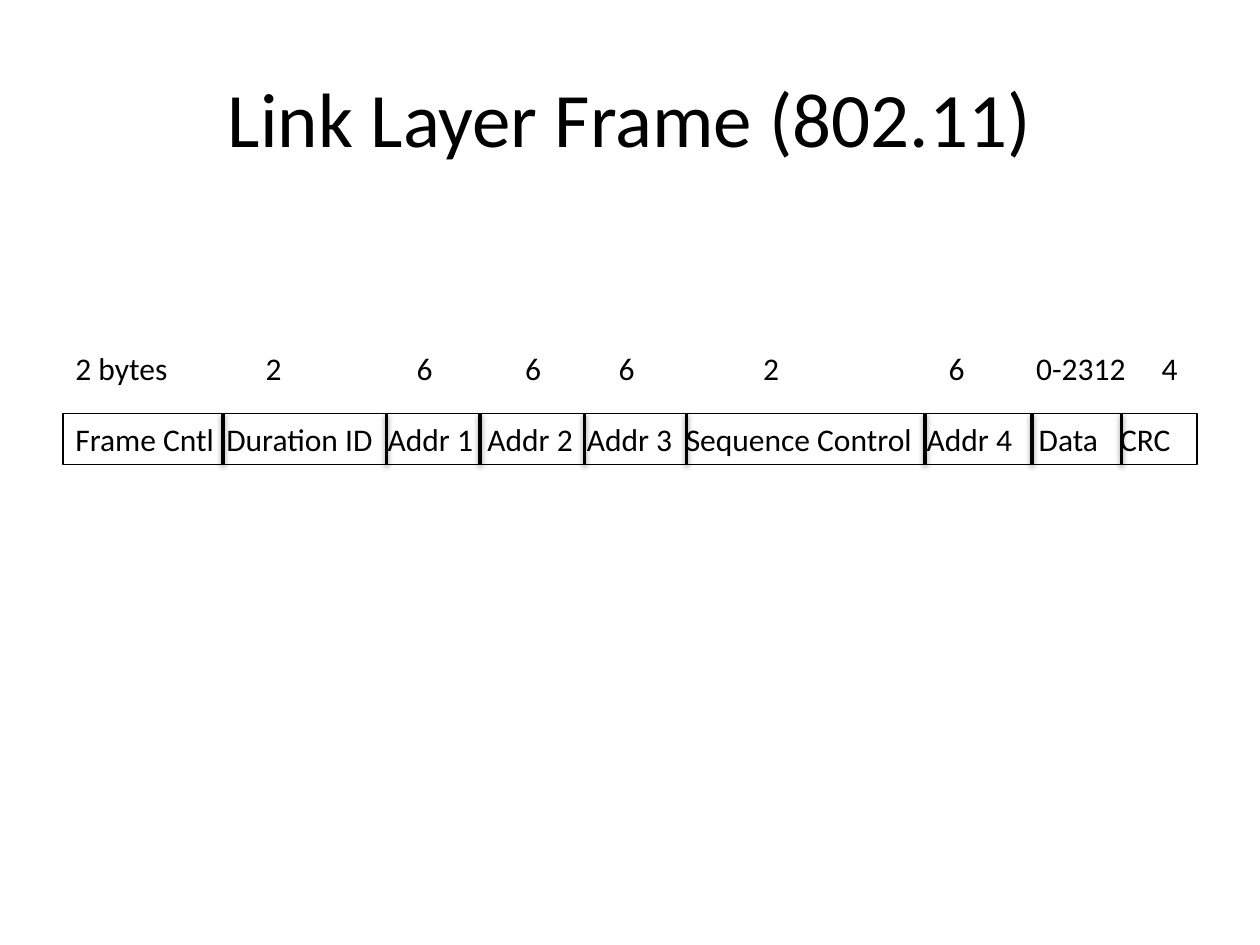
from lxml import etree
from pptx import Presentation
from pptx.dml.color import RGBColor
from pptx.enum import shapes, text
from pptx.oxml import ns
from pptx.util import Pt

BLACK = RGBColor(0, 0, 0)
TITLE = "Link Layer Frame (802.11)"
# name, bytes, left bar, name tab, bytes tab
FIELDS = [
    ("Frame Cntl", "2 bytes", None, 0, 0),
    ("Duration ID", "2", 127.4, 86.3, 108.8),
    ("Addr 1", "6", 221, 178.5, 195),
    ("Addr 2", "6", 274.3, 235.5, 257),
    ("Addr 3", "6", 334.1, 292.3, 310.5),
    ("Sequence Control", "2", 392.4, 348.8, 393),
    ("Addr 4", "6", 528.5, 486.5, 499),
    ("Data", "0-2312", 589.7, 550.5, 549),
    ("CRC", "4", 640.8, 597, 620.7),
]
LEFT, WIDTH, HIGH = 36, 648, 29.1
SIZES, FRAME = 195.8, 236.2
BODY = {"name": "Calibri", "size": Pt(18)}
HEAD = {"name": "Calibri", "size": Pt(44)}
SHADOW = {"blurRad": Pt(3.1), "dist": Pt(1.6), "dir": 5400000, "rotWithShape": 0}


def add(node, tag, **vals):
    return etree.SubElement(node, ns.qn(tag), {k: str(v) for k, v in vals.items()})


def style(para, form):
    for key, val in form.items():
        setattr(para.font, key, val)
    para.font.color.rgb = BLACK


def fill_row(shape, words, stops):
    frame = shape.text_frame
    frame.word_wrap = True
    frame.auto_size = text.MSO_AUTO_SIZE.SHAPE_TO_FIT_TEXT
    frame.vertical_anchor = text.MSO_ANCHOR.TOP
    para = frame.paragraphs[0]
    para.text = "\t".join(words)
    para.alignment = text.PP_ALIGN.LEFT
    tabs = add(para._p.get_or_add_pPr(), "a:tabLst")
    for stop in stops[1:]:
        add(tabs, "a:tab", pos=Pt(stop), algn="l")
    style(para, BODY)


def add_bar(slide, x):
    bar = slide.shapes.add_connector(
        shapes.MSO_CONNECTOR.STRAIGHT, Pt(x), Pt(FRAME), Pt(x), Pt(FRAME + HIGH))
    bar.line.color.rgb = BLACK
    bar.line.width = Pt(2)
    glow = add(add(bar._element.spPr, "a:effectLst"), "a:outerShdw", **SHADOW)
    add(add(glow, "a:srgbClr", val=BLACK), "a:alpha", val=38000)


def main():
    deck = Presentation()
    deck.slide_width, deck.slide_height = Pt(720), Pt(540)
    slide = deck.slides.add_slide(deck.slide_layouts[5])
    names, sizes, bars, tabs, spots = zip(*FIELDS)

    title = slide.shapes.title
    title.left, title.top, title.width, title.height = map(Pt, (LEFT, 21.6, WIDTH, 90))
    title.text_frame.text = TITLE
    title.text_frame.vertical_anchor = text.MSO_ANCHOR.MIDDLE
    para = title.text_frame.paragraphs[0]
    para.alignment = text.PP_ALIGN.CENTER
    style(para, HEAD)

    row = slide.shapes.add_shape(
        shapes.MSO_SHAPE.RECTANGLE, *map(Pt, (LEFT, FRAME, WIDTH, HIGH)))
    row.shadow.inherit = False
    row.fill.background()
    row.line.color.rgb = BLACK
    row.line.width = Pt(0.75)
    fill_row(row, names, tabs)
    for x in bars[1:]:
        add_bar(slide, x)

    box = slide.shapes.add_textbox(*map(Pt, (LEFT, SIZES, WIDTH, HIGH)))
    fill_row(box, sizes, spots)
    deck.save("out.pptx")


if __name__ == "__main__":
    main()
